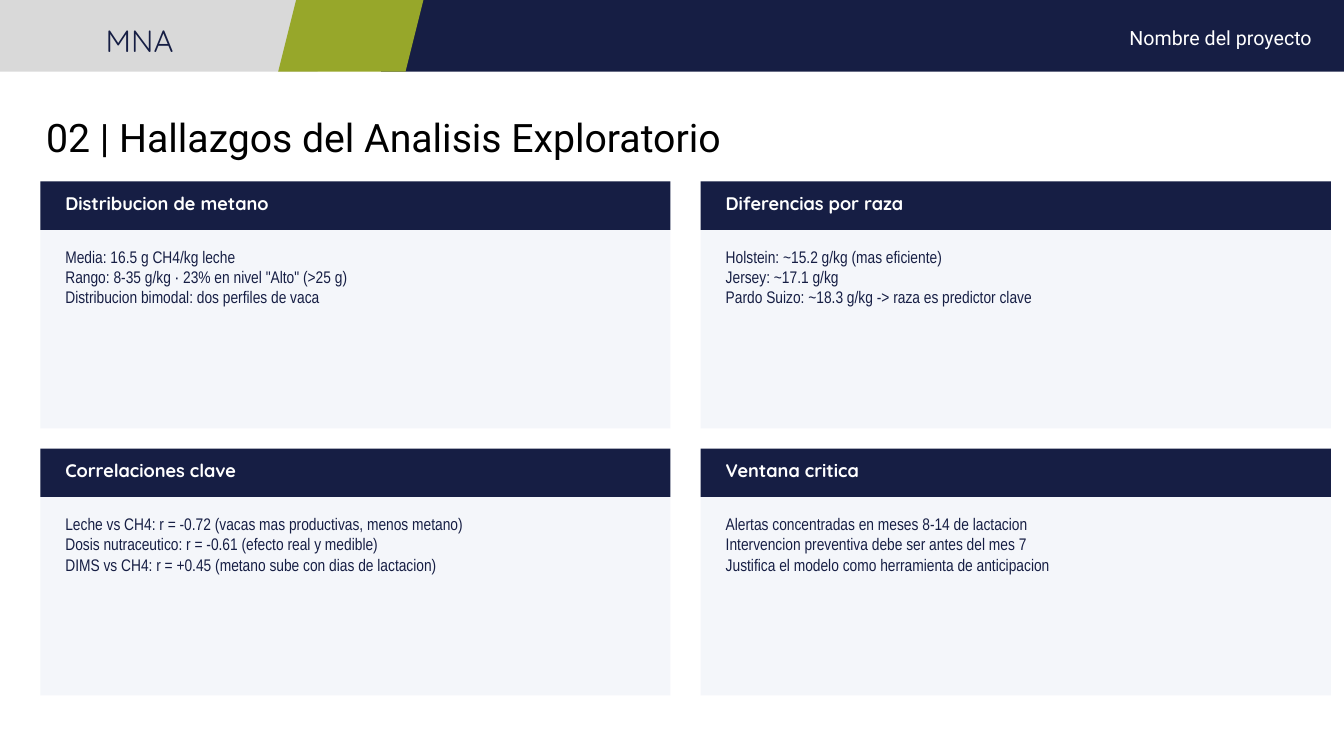
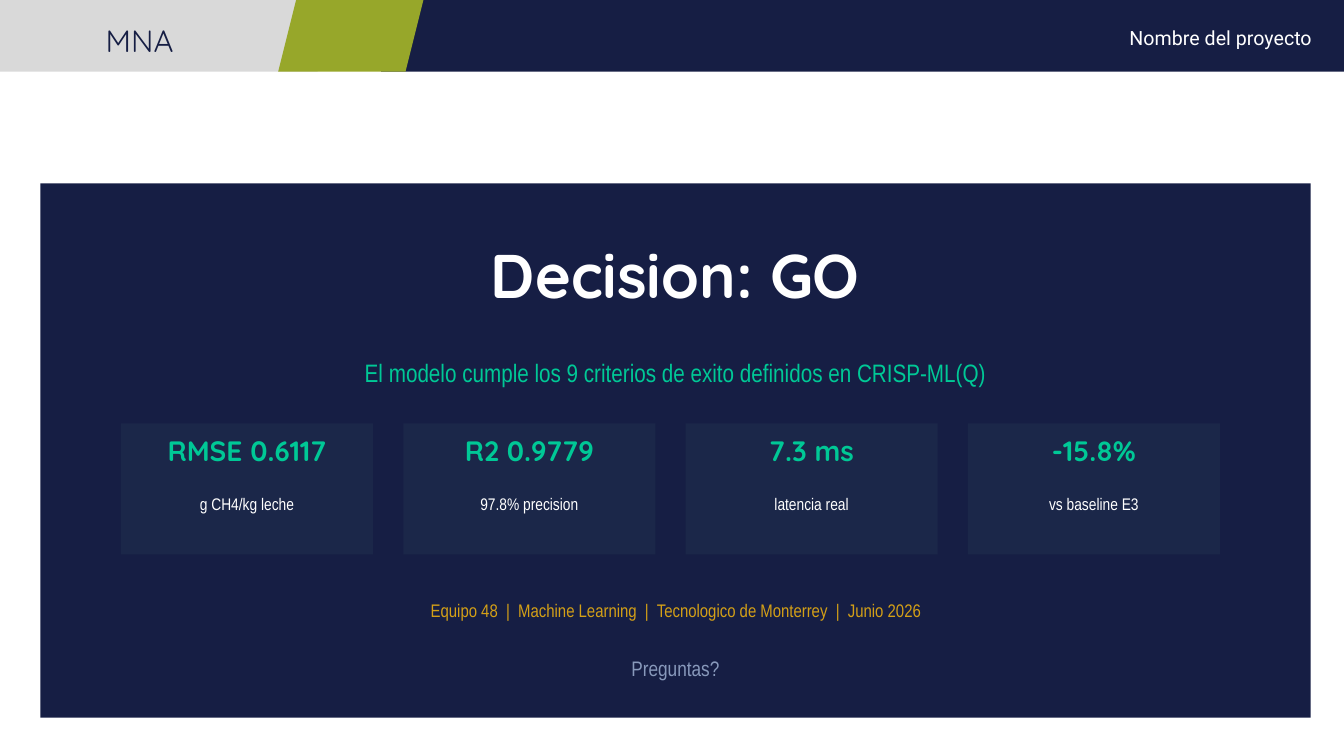
import pptx
import pptx.util
import pptx.dml.color
import pptx.enum.shapes
import pptx.enum.text

Inches = pptx.util.Inches
SHAPE = pptx.enum.shapes.MSO_SHAPE
ANCHOR = pptx.enum.text.MSO_ANCHOR
ALIGN = pptx.enum.text.PP_ALIGN
LEFT, MID, RIGHT = ALIGN.LEFT, ALIGN.CENTER, ALIGN.RIGHT


class Theme:
    # Colours
    navy, gray, olive = "161E44", "D9D9D9", "97A72A"
    pale, tile = "F4F6FA", "1B2749"
    white, black = "FFFFFF", "000000"
    mint, gold, steel = "00C896", "D4A017", "8899BB"
    # Text styles: font, size, colour, bold
    project = ("Roboto", 14, white, False)
    label = ("Quicksand", 22, navy, False)
    title = ("Roboto", 28, black, False)
    head = ("Quicksand", 13, white, True)
    body = ("Arial Narrow", 12, navy, False)
    hero = ("Quicksand", 44, white, True)
    claim = ("Arial Narrow", 18, mint, False)
    value = ("Quicksand", 20, mint, True)
    note = ("Arial Narrow", 12, white, False)
    credit = ("Arial Narrow", 13, gold, False)
    ask = ("Arial Narrow", 15, steel, False)


def block(slide, box, color, kind=SHAPE.RECTANGLE):
    shape = slide.shapes.add_shape(kind, *map(Inches, box))
    shape.shadow.inherit = False
    shape.fill.solid()
    shape.fill.fore_color.rgb = pptx.dml.color.RGBColor.from_string(color)
    shape.line.fill.background()
    return shape


def write(slide, box, text, style, align=LEFT, lead=None, anchor=ANCHOR.TOP):
    frame = slide.shapes.add_textbox(*map(Inches, box)).text_frame
    frame.word_wrap = True
    frame.vertical_anchor = anchor
    frame.text = text
    face, size, color, bold = style
    for para in frame.paragraphs:
        para.alignment = align
        if lead:
            para.line_spacing = lead
        for run in para.runs:
            font = run.font
            font.name, font.size, font.bold = face, pptx.util.Pt(size), bold
            font.color.rgb = pptx.dml.color.RGBColor.from_string(color)
    return frame


# Band across the top of every slide
def band(slide, box):
    x, y, w, h = box
    block(slide, (x + 3.78, y, w - 3.78, h), Theme.navy)
    block(slide, (x, y, 3.15, h), Theme.gray)
    slant = block(slide, (x + 2.76, y, 1.44, h), Theme.olive,
                  SHAPE.PARALLELOGRAM)
    slant.adjustments[0] = 0.25
    frame = write(slide, (x + 3.81, y + 0.12, w - 4.03, 0.67),
                  "Nombre del proyecto", Theme.project, RIGHT, 1.15)
    frame.margin_top = frame.margin_bottom = Inches(0.1)
    write(slide, (x + 0.67, y + 0.11, 1.43, 0.52), "MNA", Theme.label,
          MID, 1.15)


def start(deck):
    slide = deck.slides.add_slide(deck.slide_layouts[6])
    band(slide, (0, 0, 13.33, 0.71))
    return slide


# Card with a dark heading bar
def card(slide, box, head, lines):
    x, y, w, h = box
    block(slide, box, Theme.pale)
    block(slide, (x, y, w, 0.48), Theme.navy)
    write(slide, (x + 0.15, y + 0.06, w - 0.35, 0.38), head, Theme.head)
    write(slide, (x + 0.15, y + 0.6, w - 0.35, h - 0.75),
          "\n".join(lines), Theme.body)


# Tile with one figure and its note
def metric(slide, box, value, note):
    x, y, w, h = box
    block(slide, box, Theme.tile)
    write(slide, (x + 0.1, y + 0.05, w - 0.2, 0.58), value, Theme.value, MID)
    write(slide, (x + 0.1, y + 0.65, w - 0.2, 0.55), note, Theme.note, MID)


# Slide with a title and a two-column grid of cards
def findings(deck, title, cards):
    slide = start(deck)
    write(slide, (0.36, 0.62, 7.62, 1.02), title, Theme.title,
          anchor=ANCHOR.BOTTOM)
    w, h = 6.25, 2.45
    for i, (head, lines) in enumerate(cards):
        row, col = divmod(i, 2)
        box = (0.4 + col * (w + 0.3), 1.8 + row * (h + 0.2), w, h)
        card(slide, box, head, lines)


# Closing panel: centred lines and a row of tiles
def closing(deck, box, lines, metrics):
    slide = start(deck)
    x, y, w, h = box
    block(slide, box, Theme.navy)
    for top, high, text, style in lines:
        write(slide, (x, y + top, w, high), text, style, MID)
    for i, (value, note) in enumerate(metrics):
        metric(slide, (x + 0.8 + i * 2.8, y + 2.38, 2.5, 1.3), value, note)


def main():
    deck = pptx.Presentation()
    deck.slide_width, deck.slide_height = Inches(13.33), Inches(7.5)
    findings(deck, "02 | Hallazgos del Analisis Exploratorio", [
        ("Distribucion de metano", [
            "Media: 16.5 g CH4/kg leche",
            'Rango: 8-35 g/kg · 23% en nivel "Alto" (>25 g)',
            "Distribucion bimodal: dos perfiles de vaca"]),
        ("Diferencias por raza", [
            "Holstein: ~15.2 g/kg (mas eficiente)",
            "Jersey: ~17.1 g/kg",
            "Pardo Suizo: ~18.3 g/kg -> raza es predictor clave"]),
        ("Correlaciones clave", [
            "Leche vs CH4: r = -0.72 (vacas mas productivas, menos metano)",
            "Dosis nutraceutico: r = -0.61 (efecto real y medible)",
            "DIMS vs CH4: r = +0.45 (metano sube con dias de lactacion)"]),
        ("Ventana critica", [
            "Alertas concentradas en meses 8-14 de lactacion",
            "Intervencion preventiva debe ser antes del mes 7",
            "Justifica el modelo como herramienta de anticipacion"]),
    ])
    closing(deck, (0.4, 1.82, 12.6, 5.3), [
        (0.48, 1.1, "Decision: GO", Theme.hero),
        (1.68, 0.55, "El modelo cumple los 9 criterios de exito "
                     "definidos en CRISP-ML(Q)", Theme.claim),
        (4.08, 0.45, "Equipo 48  |  Machine Learning  |  "
                     "Tecnologico de Monterrey  |  Junio 2026", Theme.credit),
        (4.63, 0.5, "Preguntas?", Theme.ask),
    ], [
        ("RMSE 0.6117", "g CH4/kg leche"),
        ("R2 0.9779", "97.8% precision"),
        ("7.3 ms", "latencia real"),
        ("-15.8%", "vs baseline E3"),
    ])
    deck.save("out.pptx")


if __name__ == "__main__":
    main()
